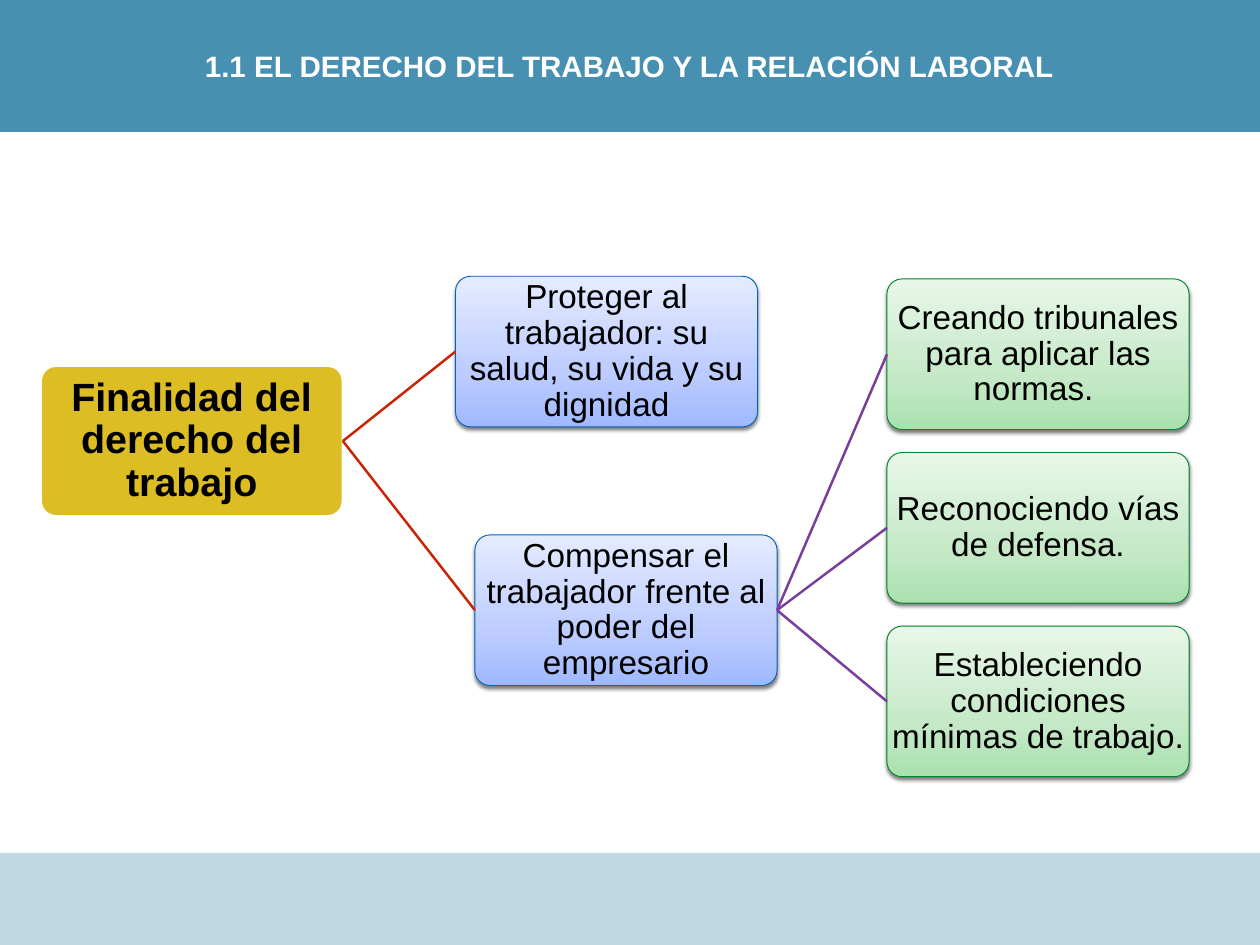
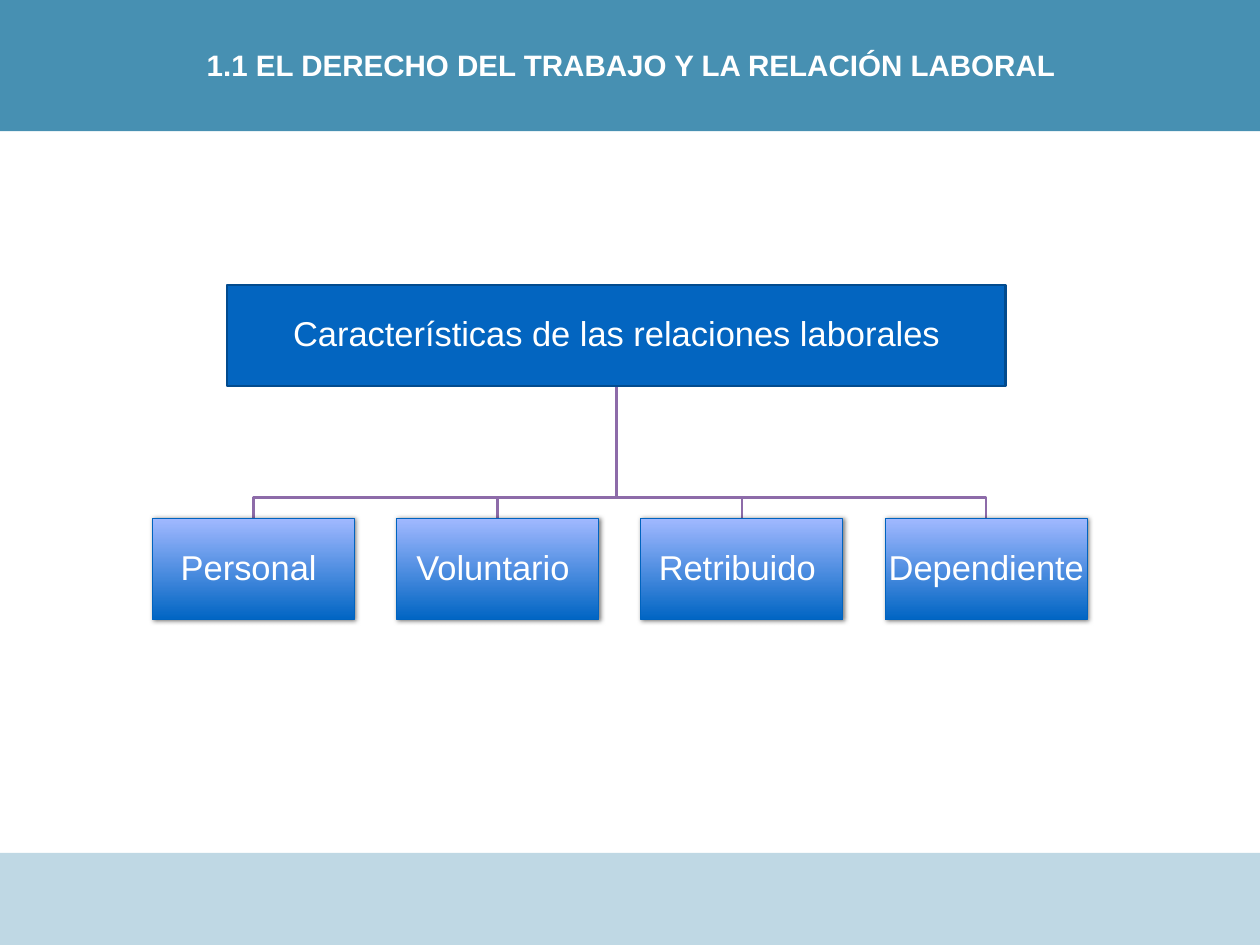
from lxml.etree import SubElement
from pptx import Presentation
from pptx.dml.color import RGBColor
from pptx.enum.shapes import MSO_CONNECTOR, MSO_SHAPE
from pptx.enum.text import MSO_ANCHOR, MSO_AUTO_SIZE, PP_ALIGN
from pptx.oxml.ns import qn
from pptx.util import Inches, Pt

FONT = "Arial"
BLACK = RGBColor(0x00, 0x00, 0x00)
WHITE = RGBColor(0xFF, 0xFF, 0xFF)
TEAL = RGBColor(0x2E, 0x81, 0xA8)
GOLD = RGBColor(0xDC, 0xBD, 0x23)
RED = RGBColor(0xC8, 0x25, 0x06)
PURPLE = RGBColor(0x77, 0x3F, 0x9B)
MAUVE = RGBColor(0x8D, 0x6B, 0xA9)
BLUE = RGBColor(0x03, 0x65, 0xC0)
NAVY = RGBColor(0x02, 0x4B, 0x8E)
BLUE_EDGE = RGBColor(0x00, 0x63, 0xBF)
GREEN_EDGE = RGBColor(0x00, 0x85, 0x2A)
PERIWINKLE = RGBColor(0xA0, 0xB8, 0xFF)

# Gradients run from bottom to top: (percent, colour)
PALE_BLUE = [(0, PERIWINKLE), (35, RGBColor(0xBC, 0xCC, 0xFF)), (100, RGBColor(0xE5, 0xEB, 0xFF))]
PALE_GREEN = [(0, RGBColor(0xAA, 0xE1, 0xAF)), (35, RGBColor(0xC5, 0xE9, 0xC7)),
              (100, RGBColor(0xE8, 0xF7, 0xE9))]
DEEP_BLUE = [(0, RGBColor(0x00, 0x65, 0xC3)), (100, PERIWINKLE)]

# Shadows: blur, distance (points), direction (degrees)
SHADOW_BELOW = (3, 2, 90)
SHADOW_RIGHT = (4, 1, 0)

# Box styles: shape, fill, line colour, line width, shadow, text size, text colour, bold
ROOT = (MSO_SHAPE.ROUNDED_RECTANGLE, GOLD, WHITE, 2, None, 32, BLACK, True)
AIM = (MSO_SHAPE.ROUNDED_RECTANGLE, PALE_BLUE, BLUE_EDGE, 0.75, SHADOW_BELOW, 27, BLACK, False)
MEANS = (MSO_SHAPE.ROUNDED_RECTANGLE, PALE_GREEN, GREEN_EDGE, 0.75, SHADOW_BELOW, 27, BLACK, False)
HEADING = (MSO_SHAPE.RECTANGLE, BLUE, NAVY, 2, None, 28, WHITE, False)
TRAIT = (MSO_SHAPE.RECTANGLE, DEEP_BLUE, BLUE_EDGE, 0.75, SHADOW_RIGHT, 28, WHITE, False)

TITLE = "1.1 EL DERECHO DEL TRABAJO Y LA RELACIÓN LABORAL"
PURPOSE = "Finalidad del derecho del trabajo"
AIMS = [("Proteger al trabajador: su salud, su vida y su dignidad", 5.14, 3.12),
        ("Compensar el trabajador frente al poder del empresario", 5.36, 6.04)]
MEANS_TEXTS = ["Creando tribunales para aplicar las normas. ",
               "Reconociendo vías de defensa.",
               "Estableciendo condiciones mínimas de trabajo."]
TRAITS_HEADING = "Características de las relaciones laborales"
TRAITS = ["Personal ", "Voluntario ", "Retribuido ", "Dependiente "]


def fill_translucent(sp, color, percent):
    sp.fill.solid()
    sp.fill.fore_color.rgb = color
    clr = sp.fill._xPr.find(".//" + qn("a:srgbClr"))
    SubElement(clr, qn("a:alpha"), val=str(percent * 1000))


def fill_gradient(sp, stops):
    sp.fill.gradient()
    sp.fill.gradient_angle = 90
    stop_list = sp.fill._xPr.find(".//" + qn("a:gsLst"))
    for old in list(stop_list):
        stop_list.remove(old)
    for percent, color in stops:
        stop = SubElement(stop_list, qn("a:gs"), pos=str(percent * 1000))
        SubElement(stop, qn("a:srgbClr"), val=str(color))


def add_shadow(sp, blur, distance, direction):
    effects = sp._element.spPr.find(qn("a:effectLst"))
    shadow = SubElement(effects, qn("a:outerShdw"), blurRad=str(Pt(blur)), dist=str(Pt(distance)),
                        dir=str(direction * 60000), rotWithShape="0")
    clr = SubElement(shadow, qn("a:srgbClr"), val=str(BLACK))
    SubElement(clr, qn("a:alpha"), val="50000")


def write_text(sp, text, size, color, bold, spacing=1.0):
    tf = sp.text_frame
    tf.word_wrap = True
    tf.auto_size = MSO_AUTO_SIZE.NONE
    tf.vertical_anchor = MSO_ANCHOR.MIDDLE
    tf.margin_left = tf.margin_right = tf.margin_top = tf.margin_bottom = 0
    p = tf.paragraphs[0]
    p.alignment = PP_ALIGN.CENTER
    p.line_spacing = spacing
    r = p.add_run()
    r.text = text
    r.font.name, r.font.size, r.font.bold = FONT, Pt(size), bold
    r.font.color.rgb = color


def add_box(s, text, left, top, width, height, style):
    kind, fill, edge, weight, shadow, size, color, bold = style
    sp = s.shapes.add_shape(kind, Inches(left), Inches(top), Inches(width), Inches(height))
    sp.shadow.inherit = False
    if kind == MSO_SHAPE.ROUNDED_RECTANGLE:
        sp.adjustments[0] = 0.1
    if isinstance(fill, list):
        fill_gradient(sp, fill)
    else:
        sp.fill.solid()
        sp.fill.fore_color.rgb = fill
    sp.line.color.rgb = edge
    sp.line.width = Pt(weight)
    if shadow:
        add_shadow(sp, *shadow)
    write_text(sp, text, size, color, bold, spacing=0.9)
    return sp


def link(s, parent, child, color):
    """Join the right side of parent to the left side of child."""
    line = s.shapes.add_connector(MSO_CONNECTOR.STRAIGHT, 0, 0, 0, 0)
    line.line.color.rgb = color
    line.line.width = Pt(2)
    SubElement(line._element.spPr, qn("a:effectLst"))
    line.begin_connect(parent, 3)
    line.end_connect(child, 1)


def add_branch(s, points):
    """Draw an open line with corners through the points."""
    (x, y), *rest = [(Inches(px), Inches(py)) for px, py in points]
    builder = s.shapes.build_freeform(x, y)
    builder.add_line_segments(rest, close=False)
    branch = builder.convert_to_shape()
    branch.shadow.inherit = False
    branch.fill.background()
    branch.line.color.rgb = MAUVE
    branch.line.width = Pt(2)


def new_slide(prs, left, top):
    """Add a slide with the footer band and the title band at left, top."""
    s = prs.slides.add_slide(prs.slide_layouts[5])
    footer = s.shapes.add_shape(MSO_SHAPE.RECTANGLE, Inches(-0.01), Inches(9.63),
                                Inches(14.24), Inches(1.07))
    footer.shadow.inherit = False
    footer.line.fill.background()
    fill_translucent(footer, TEAL, 30)
    title = s.shapes.title
    title.left, title.top = Inches(left), Inches(top)
    title.width, title.height = Inches(14.24), Inches(1.49)
    fill_translucent(title, TEAL, 88)
    write_text(title, TITLE, 24, WHITE, True)
    return s


def build_purpose(prs):
    s = new_slide(prs, -0.02, 0)
    width, height = 3.41, 1.7
    root = add_box(s, PURPOSE, 0.46, 4.13, width, height, ROOT)
    for text, left, top in AIMS:
        aim = add_box(s, text, left, top, width, height, AIM)
        link(s, root, aim, RED)
    for i, text in enumerate(MEANS_TEXTS):
        means = add_box(s, text, 10.01, 3.15 + i * 1.96, width, height, MEANS)
        link(s, aim, means, PURPLE)


def build_traits(prs):
    s = new_slide(prs, 0, -0.01)
    width, height = 2.28, 1.14
    head_top, bus_y, row_top = 3.22, 5.62, 5.86
    first, last, trunk_x = 1.72, 9.99, 6.96
    pitch = (last - first) / (len(TRAITS) - 1)
    lefts = [first + i * pitch for i in range(len(TRAITS))]
    for left in reversed(lefts):
        x = left + width / 2
        add_branch(s, [(trunk_x, head_top + height), (trunk_x, bus_y), (x, bus_y), (x, row_top)])
    add_box(s, TRAITS_HEADING, 2.56, head_top, 8.79, height, HEADING)
    for text, left in zip(TRAITS, lefts):
        add_box(s, text, left, row_top, width, height, TRAIT)


def main():
    prs = Presentation()
    prs.slide_width, prs.slide_height = Inches(14.22), Inches(10.67)
    build_purpose(prs)
    build_traits(prs)
    prs.save("out.pptx")


if __name__ == "__main__":
    main()
